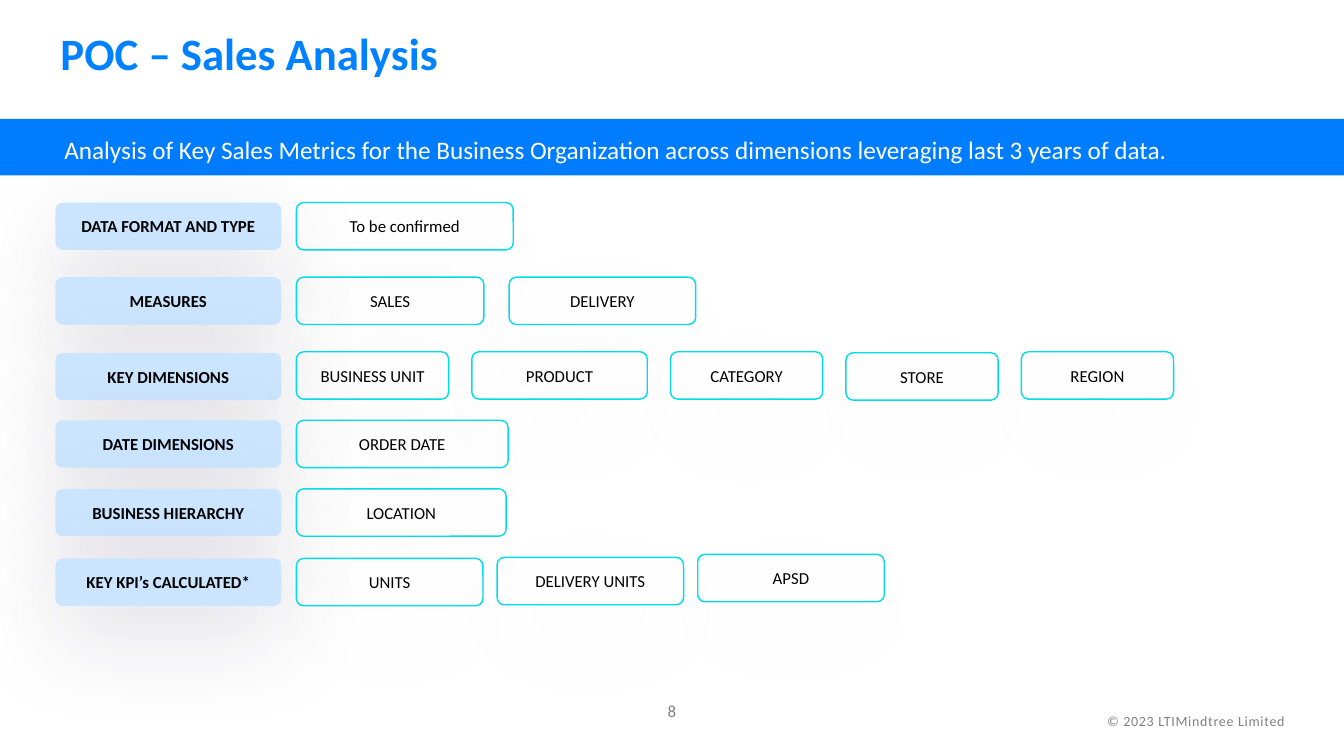
"""Build the sales analysis proof-of-concept slide."""
from pptx import Presentation
from pptx.dml.color import RGBColor
from pptx.enum.shapes import MSO_SHAPE as Shape
from pptx.enum.text import MSO_ANCHOR as Anchor, PP_ALIGN as Align
from pptx.oxml import parse_xml
from pptx.oxml.ns import nsdecls
from pptx.util import Inches, Pt

TITLE = "POC – Sales Analysis"
BANNER = ("Analysis of Key Sales Metrics for the Business Organization "
          "across dimensions leveraging last 3 years of data.")
NUMBER = "8"
RIGHTS = "© 2023 LTIMindtree Limited"

# Each row: top, label, gap, then boxes as (text, width, lift).
ROWS = [
    (2.01, "DATA FORMAT AND TYPE", 0, [("To be confirmed", 2.15, 0)]),
    (2.75, "MEASURES", 0.25, [("SALES", 1.86, 0), ("DELIVERY", 1.85, 0)]),
    (3.5, "KEY DIMENSIONS", 0.23, [
        ("BUSINESS UNIT", 1.51, 0.01), ("PRODUCT", 1.74, 0.01),
        ("CATEGORY", 1.51, 0.01), ("STORE", 1.51, 0),
        ("REGION", 1.51, 0.01)]),
    (4.17, "DATE DIMENSIONS", 0, [("ORDER DATE", 2.1, 0)]),
    (4.85, "BUSINESS HIERARCHY", 0, [("LOCATION", 2.08, 0)]),
    (5.54, "KEY KPI’s CALCULATED*", 0.14, [
        ("UNITS", 1.85, 0), ("DELIVERY UNITS", 1.85, 0.01),
        ("APSD", 1.85, 0.04)]),
]
LABEL_X, LABEL_W, BOX_X, BOX_H = 0.55, 2.24, 2.94, 0.47
SHADOW = (f'<a:effectLst {nsdecls("a")}><a:outerShdw blurRad="{Pt(69)}" '
          f'dist="{Pt(22)}" dir="5400000" algn="t" rotWithShape="0">'
          '<a:srgbClr val="221B43"><a:alpha val="15000"/></a:srgbClr>'
          '</a:outerShdw></a:effectLst>')


def color(code):
    """Turn a hex string into a colour."""
    return RGBColor.from_string(code)


def write(shape, text, size=12, ink="000000", bold=False, align=Align.LEFT,
          anchor=Anchor.TOP, inset=(0.1, 0.05, 0.1, 0.05), spread=0):
    """Put one formatted line of text in a shape."""
    frame = shape.text_frame
    frame.word_wrap = True
    frame.vertical_anchor = anchor
    (frame.margin_left, frame.margin_top,
     frame.margin_right, frame.margin_bottom) = map(Inches, inset)
    para = frame.paragraphs[0]
    para.alignment = align
    run = para.add_run()
    run.text = text
    font = run.font
    font.name, font.size, font.bold = "Calibri", Pt(size), bold
    font.color.rgb = color(ink)
    if spread:
        run._r.get_or_add_rPr().set("spc", str(round(spread * 100)))


def add_text(slide, area, text, **style):
    """Add a text box."""
    write(slide.shapes.add_textbox(*map(Inches, area)), text, **style)


def add_box(slide, area, text, fill=None, bold=False):
    """Add a rounded box, filled or outlined, with a soft shadow."""
    box = slide.shapes.add_shape(Shape.ROUNDED_RECTANGLE, *map(Inches, area))
    box.adjustments[0] = 0.152
    if fill:
        box.fill.solid()
        box.fill.fore_color.rgb = color(fill)
        box.line.fill.background()
    else:
        box.fill.background()
        box.line.color.rgb = color("00DCEA")
        box.line.width = Pt(1)
    box._element.spPr.append(parse_xml(SHADOW))
    write(box, text, bold=bold, align=Align.CENTER, anchor=Anchor.MIDDLE)


def main():
    """Lay out the slide and save it."""
    deck = Presentation()
    deck.slide_width, deck.slide_height = Inches(13.33), Inches(7.5)
    slide = deck.slides.add_slide(deck.slide_layouts[5])

    add_text(slide, (9.32, 7.02, 3.52, 0.27), RIGHTS, size=10, ink="808080",
             align=Align.RIGHT, spread=0.5)
    add_text(slide, (6.21, 6.89, 0.91, 0.35), NUMBER, ink="808080",
             align=Align.CENTER, inset=(0.11, 0.06, 0.11, 0.06))

    title = slide.shapes.title
    title.left, title.top, title.width, title.height = map(
        Inches, (0.5, 0.2, 12.49, 0.75))
    write(title, TITLE, size=32, ink="0081FF", bold=True)

    band = slide.shapes.add_shape(
        Shape.RECTANGLE, *map(Inches, (-0.01, 1.18, 13.35, 0.56)))
    band.shadow.inherit = False
    band.fill.solid()
    band.fill.fore_color.rgb = color("007CFF")
    band.line.fill.background()
    add_text(slide, (0.54, 1.28, 12.24, 0.4), BANNER, size=18, ink="FFFFFF",
             inset=(0.1, 0.05, 0, 0.05))

    for top, label, gap, boxes in ROWS:
        add_box(slide, (LABEL_X, top, LABEL_W, BOX_H), label,
                fill="CCE5FF", bold=True)
        left = BOX_X
        for text, width, lift in boxes:
            add_box(slide, (left, top - lift, width, BOX_H), text)
            left += width + gap

    deck.save("out.pptx")


if __name__ == "__main__":
    main()
